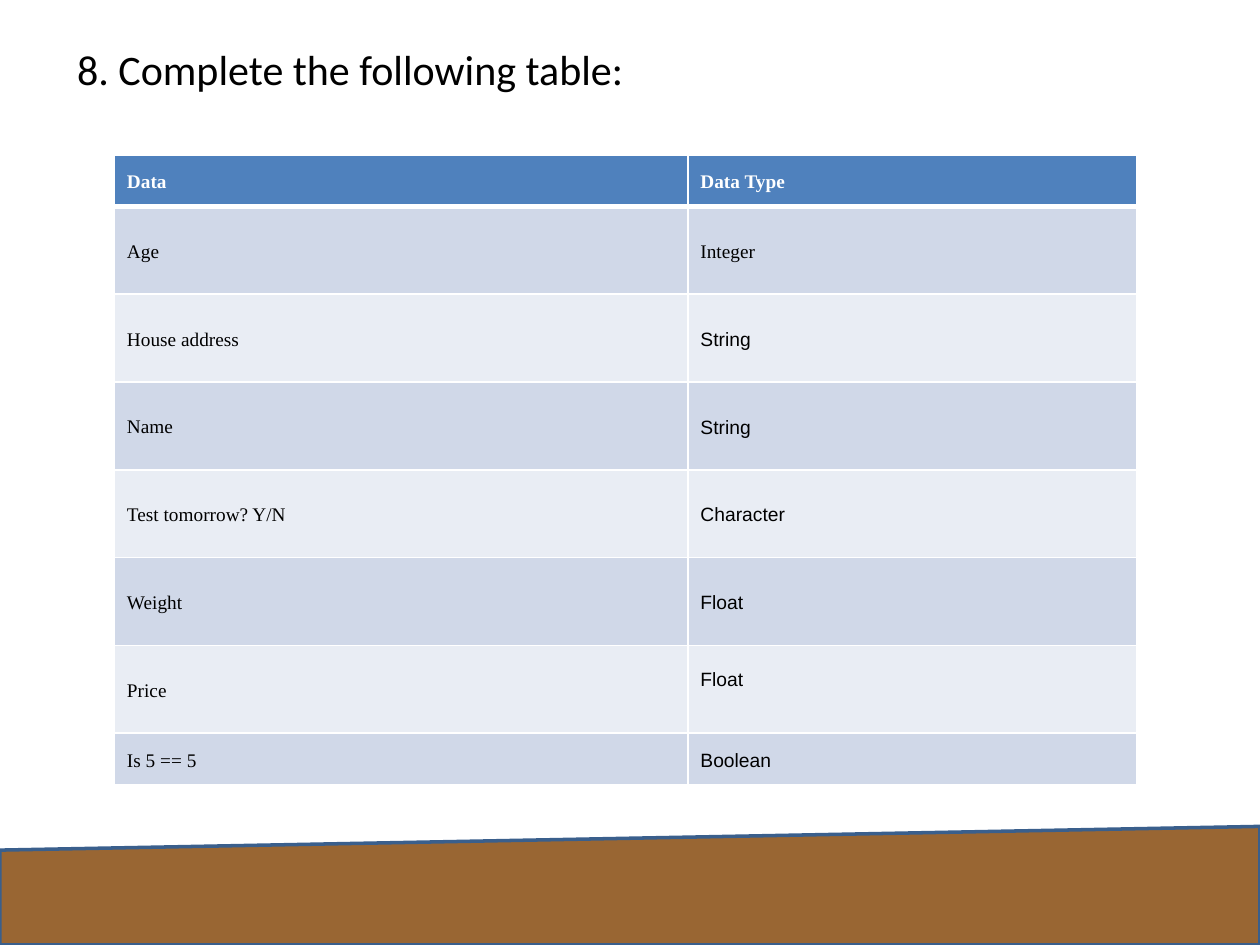
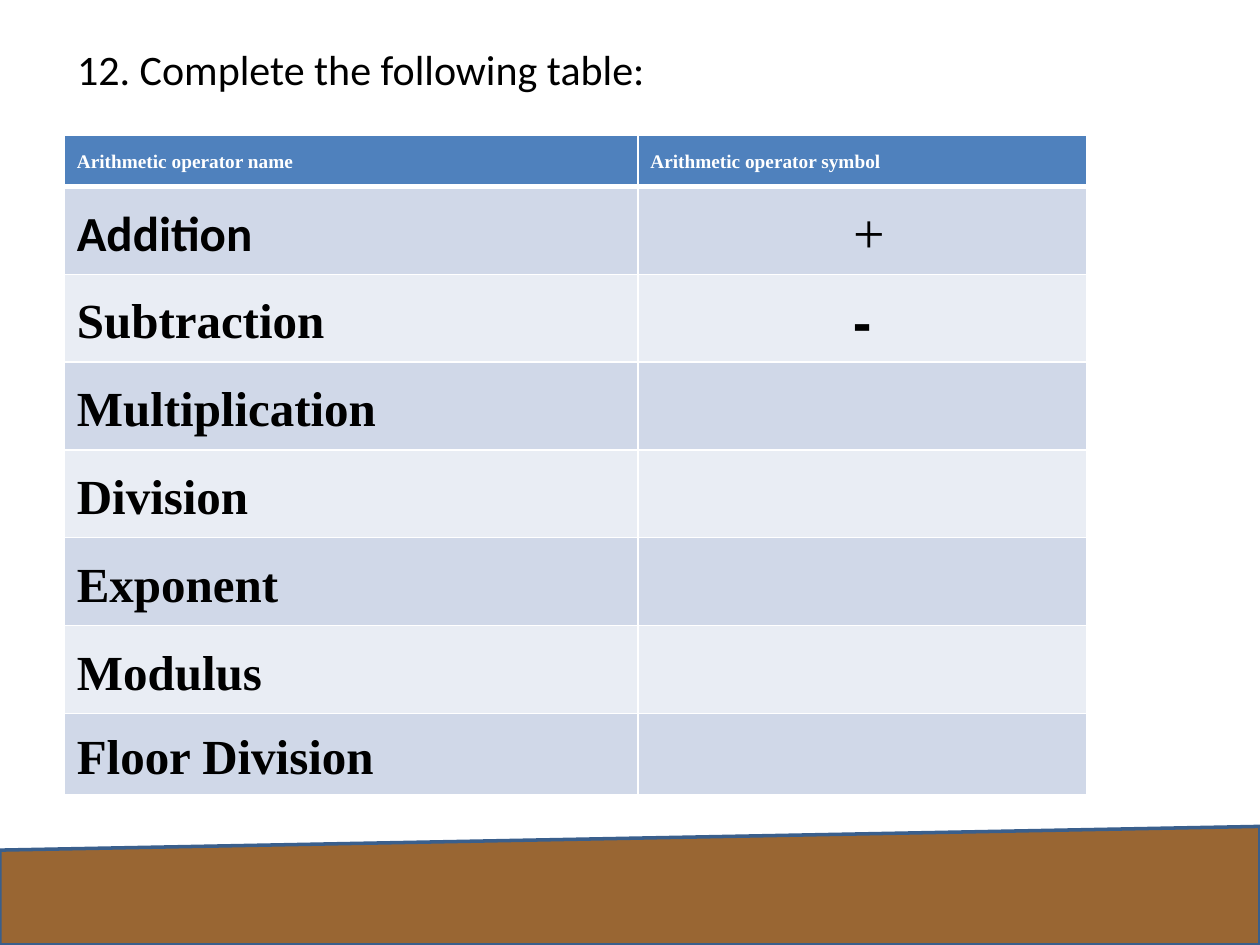
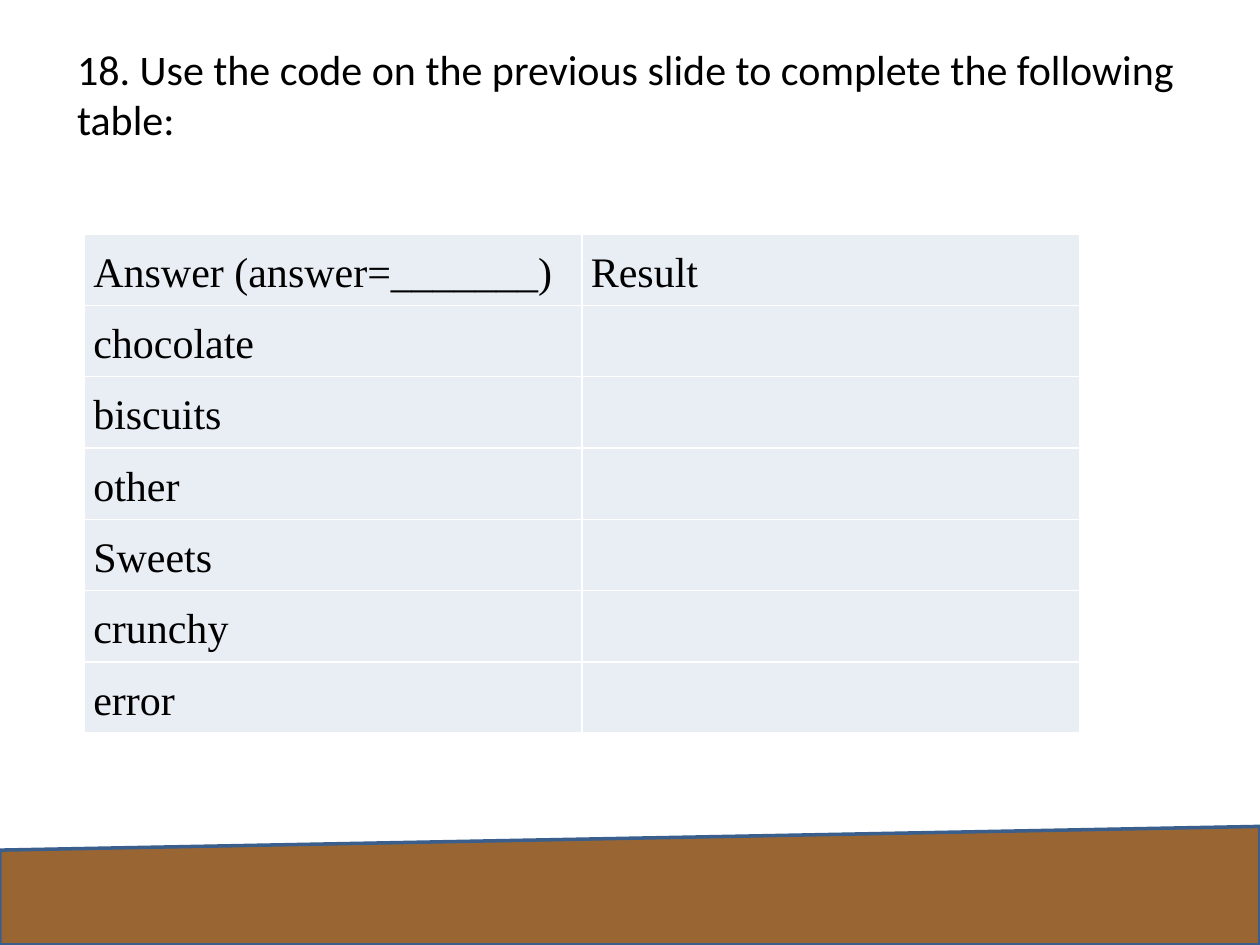
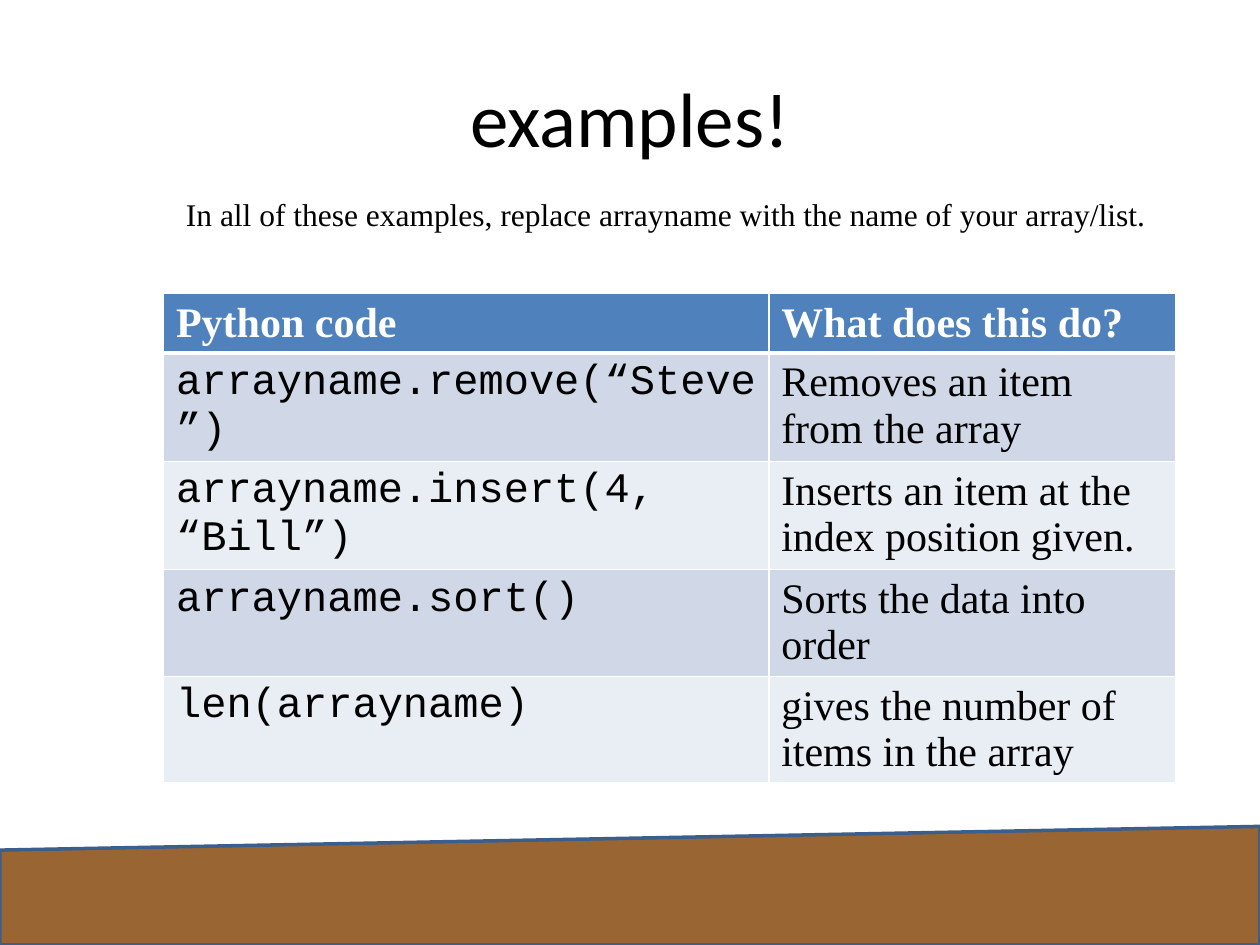
"""Build four quiz slides: a title and a two-column table over a brown band."""
from dataclasses import dataclass

from lxml import etree
from pptx import Presentation
from pptx import util as u
from pptx.dml.color import RGBColor
from pptx.enum import shapes, text
from pptx.oxml.ns import qn


@dataclass(frozen=True)
class Theme:
    ink: str = "000000"
    white: str = "FFFFFF"
    head: str = "4F81BD"
    dark: str = "D0D8E8"
    pale: str = "E9EDF4"
    earth: str = "996633"
    edge: str = "3A5F8C"
    sans: str = "Calibri"
    serif: str = "Times New Roman"
    plain: str = "Arial"
    mono: str = "Courier New"
    tiny: int = 11
    note: int = 18
    body: int = 24
    large: int = 28
    sign: int = 32
    title: int = 44


T = Theme()
LEFT, MID = text.PP_ALIGN.LEFT, text.PP_ALIGN.CENTER
TOP, CENTER = text.MSO_ANCHOR.TOP, text.MSO_ANCHOR.MIDDLE

STYLES = {
    "ask": (T.sans, T.body, False, T.ink),
    "title": (T.sans, T.title, False, T.ink),
    "note": (T.serif, T.note, False, T.ink),
    "small head": (T.serif, T.tiny, True, T.white),
    "head": (T.serif, T.body, True, T.white),
    "small": (T.serif, T.tiny, False, T.ink),
    "type": (T.plain, T.tiny, False, T.ink),
    "name": (T.serif, T.large, True, T.ink),
    "first": (T.sans, T.large, True, T.ink),
    "plus": (T.serif, T.sign, False, T.ink),
    "minus": (T.plain, T.sign, True, T.ink),
    "text": (T.serif, T.body, False, T.ink),
    "code": (T.mono, T.body, False, T.ink),
}

ASK = {"style": "ask", "left": 1.3, "top": 0.74, "align": LEFT, "anchor": TOP}
SMALL = {"cols": (11.56, 9.04), "pad": (0.25, 0.13), "anchor": CENTER,
         "space": 1.15, "heads": "small head"}

SLIDES = [
    {"title": "8. Complete the following table:", "look": ASK,
     "table": {**SMALL, "at": (2.31, 3.12), "rows": [1.04] + [1.77] * 6 + [1.04],
               "styles": ("small", "type"), "lift": {(6, 1): 0.58},
               "own": {(1, 1): "small"}},
     "cells": [("Data", "Data Type"), ("Age", "Integer"), ("House address", "String"),
               ("Name", "String"), ("Test tomorrow? Y/N", "Character"),
               ("Weight", "Float"), ("Price", "Float"), ("Is 5 == 5", "Boolean")]},
    {"title": "12. Complete the following table:", "look": ASK,
     "table": {**SMALL, "at": (1.3, 2.72), "rows": [1.04] + [1.77] * 6 + [1.5],
               "styles": ("name", "minus"), "aligns": (LEFT, MID),
               "own": {(1, 0): "first", (1, 1): "plus"}},
     "cells": [("Arithmetic operator name", "Arithmetic operator symbol"),
               ("Addition", " +"), ("Subtraction", "-"), ("Multiplication", ""),
               ("Division", ""), ("Exponent", ""), ("Modulus", ""),
               ("Floor Division", "")]},
    {"title": "18. Use the code on the previous slide to complete the following table:",
     "look": ASK,
     "table": {"at": (1.7, 4.72), "cols": (10.03, 10.03), "rows": [1.43] * 7,
               "pad": (0.18, 0.18), "anchor": TOP, "space": 1.15,
               "styles": ("text", "text")},
     "cells": [("Answer (answer=_______)", "Result"), ("chocolate", ""),
               ("biscuits", ""), ("other", ""), ("Sweets", ""), ("crunchy", ""),
               ("error", "")]},
    {"title": "examples!",
     "look": {"style": "title", "left": 1.27, "top": 0.76, "height": 3.18,
              "align": MID, "anchor": CENTER},
     "note": "In all of these examples, replace arrayname with the name of your "
             "array/list.",
     "table": {"at": (3.3, 5.92), "cols": (12.2, 8.2), "rows": [1.17] + [2.15] * 4,
               "pad": (0.25, 0.13), "anchor": TOP, "space": 1.0,
               "heads": "head", "styles": ("code", "text")},
     "cells": [("Python code", "What does this do?"),
               ("arrayname.remove(“Steve”)", "Removes an item from the array"),
               ("arrayname.insert(4, “Bill”)",
                "Inserts an item at the index position given."),
               ("arrayname.sort()", "Sorts the data into order"),
               ("len(arrayname)", "gives the number of items in the array")]},
]


def color(code):
    return RGBColor.from_string(code)


def write(frame, words, style, align=LEFT, space=None):
    para = frame.paragraphs[0]
    para.alignment, para.line_spacing = align, space
    name, size, bold, ink = STYLES[style]
    if not words:
        para.font.size = u.Pt(size)
        return
    run = para.add_run()
    run.text = words
    font = run.font
    font.name, font.size, font.bold = name, u.Pt(size), bold
    font.color.rgb = color(ink)


def place(shape, left, top, width, height):
    shape.left, shape.top = u.Cm(left), u.Cm(top)
    shape.width, shape.height = u.Cm(width), u.Cm(height)


def add_band(slide, layout):
    band = slide.shapes.add_shape(
        shapes.MSO_SHAPE.FLOWCHART_MANUAL_INPUT, 0, 0, 0, 0)
    place(band, 0, 16.66, 25.4, 2.39)
    band.shadow.inherit = False
    band.fill.solid()
    band.fill.fore_color.rgb = color(T.earth)
    band.line.color.rgb = color(T.edge)
    band.line.width = u.Pt(2)
    layout.shapes.element.insert(2, band.element)


def add_title(slide, words, look, end):
    title = slide.shapes.title
    place(title, look["left"], look["top"], 22.86,
          look.get("height", end - look["top"]))
    frame = title.text_frame
    frame.word_wrap, frame.auto_size = True, text.MSO_AUTO_SIZE.NONE
    frame.vertical_anchor = look["anchor"]
    write(frame, words, look["style"], look["align"])


def add_note(slide, words):
    box = slide.shapes.add_textbox(0, 0, 0, 0)
    place(box, 3.5, 3.81, 20.6, 1.02)
    box.text_frame.word_wrap = True
    write(box.text_frame, words, "note")


def edge(cell, sides):
    props = cell._tc.get_or_add_tcPr()
    for side, width in sides.items():
        line = etree.SubElement(props, qn("a:ln" + side), w=str(u.Pt(width)))
        fill = etree.SubElement(line, qn("a:solidFill"))
        etree.SubElement(fill, qn("a:srgbClr"), val=T.white)


def add_grid(slide, cells, look):
    cols, rows = look["cols"], look["rows"]
    left, top = look["at"]
    grid = slide.shapes.add_table(
        len(rows), len(cols), u.Cm(left), u.Cm(top),
        u.Cm(sum(cols)), u.Cm(sum(rows))).table
    for part, width in zip(grid.columns, cols):
        part.width = u.Cm(width)
    for part, height in zip(grid.rows, rows):
        part.height = u.Cm(height)
    heads = look.get("heads")
    grid.first_row = bool(heads)
    for row, line in enumerate(cells):
        for col, words in enumerate(line):
            cell = grid.cell(row, col)
            head = heads and row == 0
            edge(cell, {"L": 1, "R": 1, "T": 3 if heads and row == 1 else 1,
                        "B": 3 if head else 1})
            cell.fill.solid()
            band = T.dark if heads and row % 2 else T.pale
            cell.fill.fore_color.rgb = color(T.head if head else band)
            wide, high = look["pad"]
            cell.margin_left = cell.margin_right = u.Cm(wide)
            cell.margin_top = u.Cm(high)
            cell.margin_bottom = u.Cm(look.get("lift", {}).get((row, col), high))
            cell.vertical_anchor = look["anchor"]
            style = look.get("own", {}).get((row, col), look["styles"][col])
            align = look.get("aligns", (LEFT, LEFT))[col]
            write(cell.text_frame, words, heads if head else style,
                  LEFT if head else align, look["space"])


def main():
    deck = Presentation()
    deck.slide_width, deck.slide_height = u.Cm(25.4), u.Cm(19.05)
    layout = deck.slide_layouts[5]
    for page in SLIDES:
        slide = deck.slides.add_slide(layout)
        if page is SLIDES[0]:
            add_band(slide, layout)
        add_title(slide, page["title"], page["look"], page["table"]["at"][1])
        add_grid(slide, page["cells"], page["table"])
        if "note" in page:
            add_note(slide, page["note"])
    deck.save("out.pptx")


if __name__ == "__main__":
    main()
